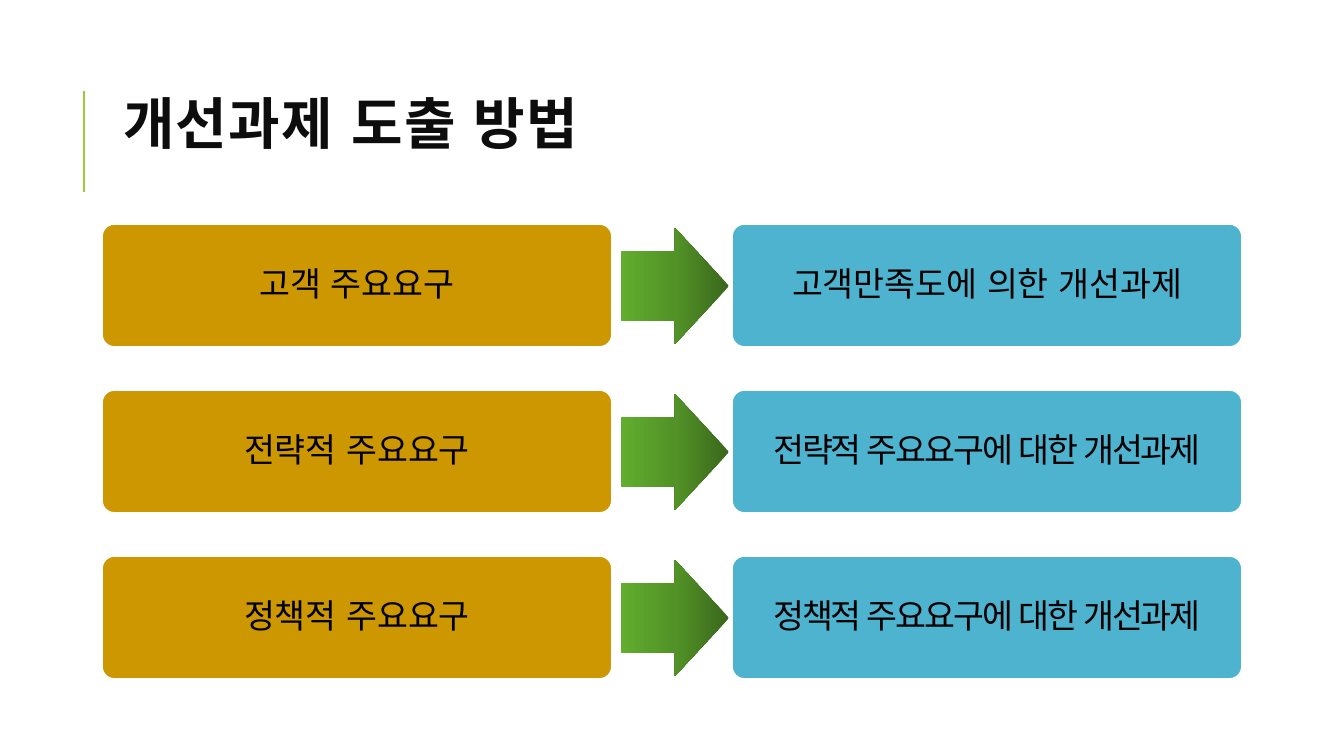
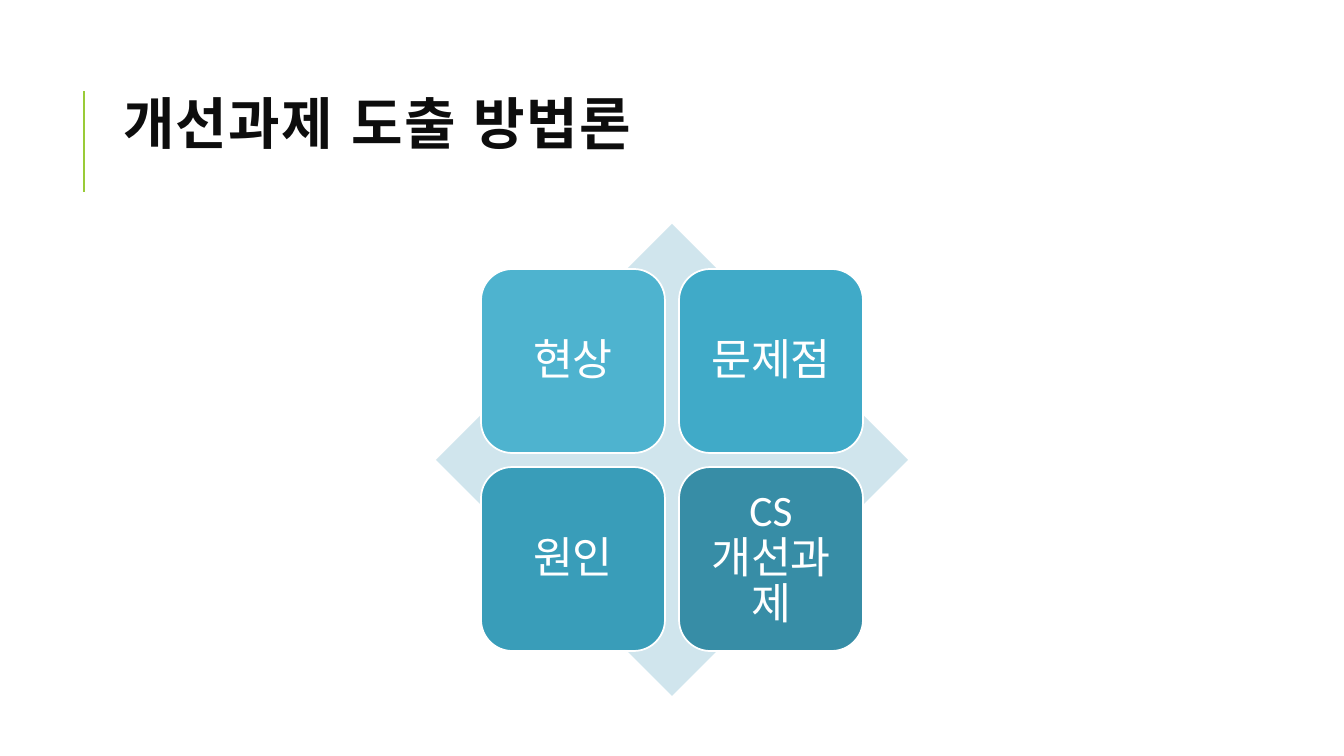
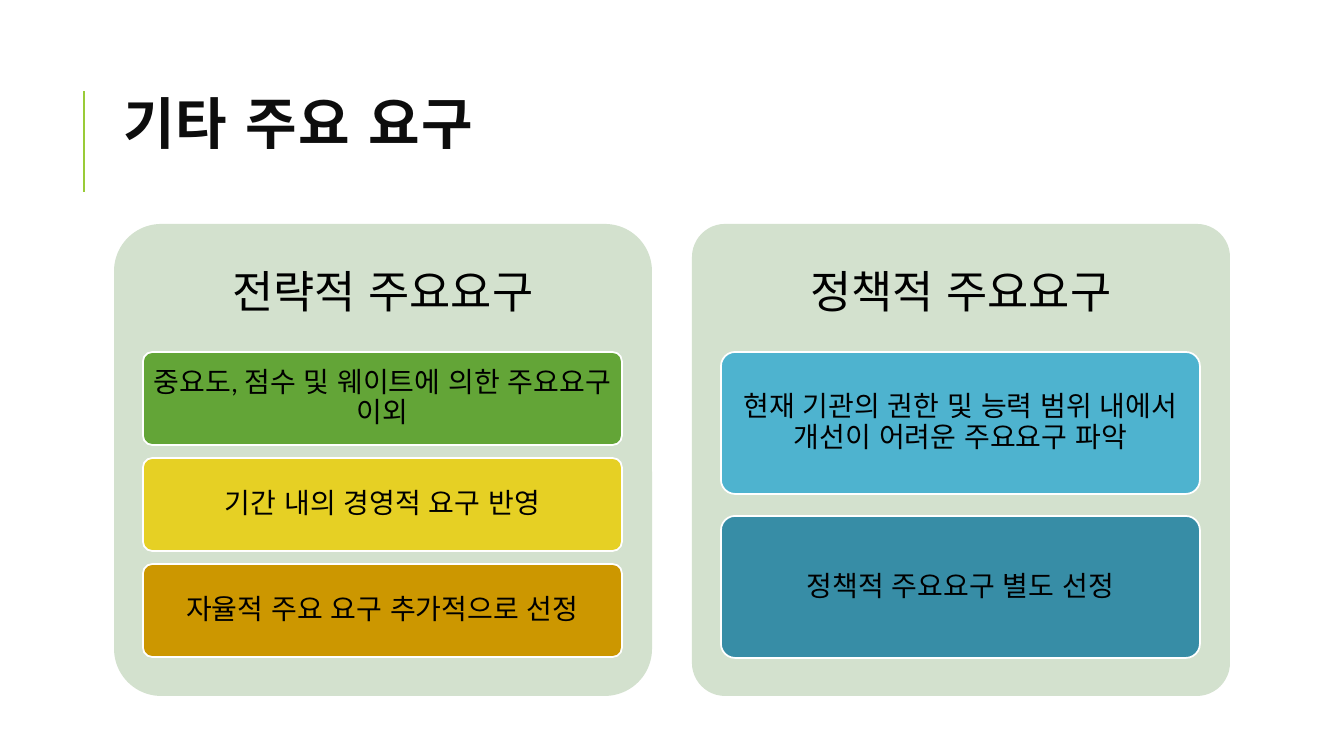
import copy
from dataclasses import dataclass

import pptx
import pptx.util
from pptx.dml.color import RGBColor
from pptx.enum.lang import MSO_LANGUAGE_ID
from pptx.enum.shapes import MSO_CONNECTOR, MSO_SHAPE
from pptx.enum.text import MSO_ANCHOR, MSO_AUTO_SIZE, PP_ALIGN
from pptx.oxml.ns import qn
from pptx.oxml.xmlchemy import OxmlElement

# Shared style
FONT = "Calibri"
WHITE = RGBColor(0xFF, 0xFF, 0xFF)
BLACK = RGBColor(0x00, 0x00, 0x00)
TITLE_INK = RGBColor(0x0D, 0x0D, 0x0D)
LIME = RGBColor(0x99, 0xCB, 0x38)
GREEN = RGBColor(0x63, 0xA5, 0x37)
YELLOW = RGBColor(0xE6, 0xD0, 0x24)
GOLD = RGBColor(0xCC, 0x97, 0x00)
SKY = RGBColor(0x4E, 0xB3, 0xCF)
AZURE = RGBColor(0x40, 0xAA, 0xC8)
TEAL = RGBColor(0x39, 0x9D, 0xB9)
DEEP_TEAL = RGBColor(0x37, 0x8D, 0xA6)
PALE_BLUE = RGBColor(0xD0, 0xE5, 0xED)
PALE_GREEN = RGBColor(0xD3, 0xE1, 0xCE)
ARROW_STOPS = (
    (0, RGBColor(0x3A, 0x67, 0x1C)),
    (0.5, RGBColor(0x52, 0x92, 0x27)),
    (1, RGBColor(0x61, 0xAD, 0x2F)),
)
EMU_PER_PX = 914400 / 100.8
CONTENT_TOP = 224
CONTENT_HEIGHT = 472


@dataclass(frozen=True)
class Area:
    left: int
    top: int
    width: int
    height: int

    def emu(self) -> list[int]:
        return [px(n) for n in (self.left, self.top, self.width, self.height)]


@dataclass(frozen=True)
class CardStyle:
    size: float
    ink: RGBColor
    pad: int
    corner: float
    outlined: bool = True
    bottom_pad: int | None = None


@dataclass(frozen=True)
class Card:
    text: str
    fill: RGBColor


@dataclass(frozen=True)
class Conversion:
    need: str
    task: str
    task_spacing: float = 0


@dataclass(frozen=True)
class Panel:
    heading: str
    left: int
    corner: float
    item_height: int
    items: tuple[Card, ...]


def px(length: int) -> int:
    return round(length * EMU_PER_PX)


def format_text(paragraph, size: float, ink: RGBColor, line_spacing: float,
                bold: bool = False, spacing: float = 0) -> None:
    paragraph.line_spacing = line_spacing
    for run in paragraph.runs:
        run.font.name = FONT
        run.font.size = pptx.util.Pt(size)
        run.font.bold = bold
        run.font.color.rgb = ink
        run.font.language_id = MSO_LANGUAGE_ID.KOREAN
        if spacing:
            run._r.get_or_add_rPr().set("spc", str(round(spacing * 100)))


def add_titled_slide(deck, title: str):
    slide = deck.slides.add_slide(deck.slide_layouts[5])
    heading = slide.shapes.title
    heading.left, heading.top, heading.width, heading.height = Area(113, 65, 1118, 127).emu()
    frame = heading.text_frame
    frame.text = title
    frame.word_wrap = True
    frame.auto_size = MSO_AUTO_SIZE.NONE
    frame.vertical_anchor = MSO_ANCHOR.MIDDLE
    frame.paragraphs[0].alignment = PP_ALIGN.LEFT
    format_text(frame.paragraphs[0], 40, TITLE_INK, 0.8, bold=True, spacing=1)

    rule = slide.shapes.add_connector(
        MSO_CONNECTOR.STRAIGHT, px(84), px(192), px(84), px(91))
    rule.line.color.rgb = LIME
    rule.line.width = pptx.util.Pt(1.5)
    rule._element.spPr.append(OxmlElement("a:effectLst"))
    return slide


def add_plain_shape(slide, preset, area: Area):
    shape = slide.shapes.add_shape(preset, *area.emu())
    shape.shadow.inherit = False
    shape.line.fill.background()
    return shape


def add_card(slide, card: Card, area: Area, style: CardStyle, spacing: float = 0) -> None:
    shape = add_plain_shape(slide, MSO_SHAPE.ROUNDED_RECTANGLE, area)
    shape.adjustments[0] = style.corner
    shape.fill.solid()
    shape.fill.fore_color.rgb = card.fill
    if style.outlined:
        shape.line.color.rgb = WHITE
        shape.line.width = pptx.util.Pt(1.25)
    frame = shape.text_frame
    frame.text = card.text
    frame.word_wrap = True
    frame.vertical_anchor = MSO_ANCHOR.MIDDLE
    frame.margin_left = frame.margin_right = frame.margin_top = px(style.pad)
    frame.margin_bottom = px(style.pad if style.bottom_pad is None else style.bottom_pad)
    frame.paragraphs[0].alignment = PP_ALIGN.CENTER
    format_text(frame.paragraphs[0], style.size, style.ink, 0.9, spacing=spacing)


def add_gradient_arrow(slide, area: Area) -> None:
    arrow = add_plain_shape(slide, MSO_SHAPE.RIGHT_ARROW, area)
    arrow.adjustments[0] = 0.6
    arrow.adjustments[1] = 0.5
    arrow.fill.gradient()
    arrow.fill.gradient_angle = 180
    # The default gradient has two stops; a third is cloned
    stop_list = arrow._element.spPr.find(qn("a:gradFill")).find(qn("a:gsLst"))
    stop_list.append(copy.deepcopy(stop_list[-1]))
    for stop, (position, color) in zip(arrow.fill.gradient_stops, ARROW_STOPS):
        stop.position = position
        stop.color.rgb = color


# Slide 1: needs turned into improvement tasks
def build_conversions(deck) -> None:
    slide = add_titled_slide(deck, "개선과제 도출 방법")
    conversions = (
        Conversion("고객 주요요구", "고객만족도에 의한 개선과제"),
        Conversion("전략적 주요요구", "전략적 주요요구에 대한 개선과제", -1.5),
        Conversion("정책적 주요요구", "정책적 주요요구에 대한 개선과제", -1.5),
    )
    style = CardStyle(size=24, ink=BLACK, pad=10, corner=0.1)
    for row, conversion in enumerate(conversions):
        top = CONTENT_TOP + row * 166
        add_card(slide, Card(conversion.need, GOLD), Area(102, top, 510, 123), style)
        add_gradient_arrow(slide, Area(621, top + 4, 108, 116))
        add_card(slide, Card(conversion.task, SKY), Area(732, top, 510, 123),
                 style, conversion.task_spacing)


# Slide 2: four tiles over a diamond
def build_matrix(deck) -> None:
    slide = add_titled_slide(deck, "개선과제 도출 방법론")
    diamond = add_plain_shape(
        slide, MSO_SHAPE.DIAMOND, Area(436, CONTENT_TOP, CONTENT_HEIGHT, CONTENT_HEIGHT))
    diamond.fill.solid()
    diamond.fill.fore_color.rgb = PALE_BLUE

    tiles = (
        Card("현상", SKY),
        Card("문제점", AZURE),
        Card("원인", TEAL),
        Card("CS개선과제", DEEP_TEAL),
    )
    style = CardStyle(size=31, ink=WHITE, pad=13, corner=0.17)
    for index, tile in enumerate(tiles):
        row, column = divmod(index, 2)
        add_card(slide, tile, Area(481 + column * 198, 269 + row * 198, 184, 184), style)


# Slide 3: two panels of stacked items
def build_panels(deck) -> None:
    slide = add_titled_slide(deck, "기타 주요 요구")
    panels = (
        Panel("전략적 주요요구", 114, 0.1, 93, (
            Card("중요도, 점수 및 웨이트에 의한 주요요구 이외", GREEN),
            Card("기간 내의 경영적 요구 반영", YELLOW),
            Card("자율적 주요 요구 추가적으로 선정", GOLD),
        )),
        Panel("정책적 주요요구", 692, 0.07, 142, (
            Card("현재 기관의 권한 및 능력 범위 내에서 개선이 어려운 주요요구 파악", SKY),
            Card("정책적 주요요구 별도 선정", DEEP_TEAL),
        )),
    )
    item_style = CardStyle(size=20, ink=BLACK, pad=4, corner=0.1)
    items_top, items_height = 352, 306
    for panel in panels:
        panel_style = CardStyle(size=32, ink=BLACK, pad=13, corner=panel.corner,
                                outlined=False, bottom_pad=344)
        add_card(slide, Card(panel.heading, PALE_GREEN),
                 Area(panel.left, CONTENT_TOP, 538, CONTENT_HEIGHT), panel_style)
        step = (items_height - panel.item_height) // (len(panel.items) - 1)
        for row, item in enumerate(panel.items):
            add_card(slide, item,
                     Area(panel.left + 29, items_top + row * step, 479, panel.item_height),
                     item_style)


def main() -> None:
    deck = pptx.Presentation()
    deck.slide_width = px(1344)
    deck.slide_height = px(756)
    build_conversions(deck)
    build_matrix(deck)
    build_panels(deck)
    deck.save("out.pptx")


if __name__ == "__main__":
    main()
